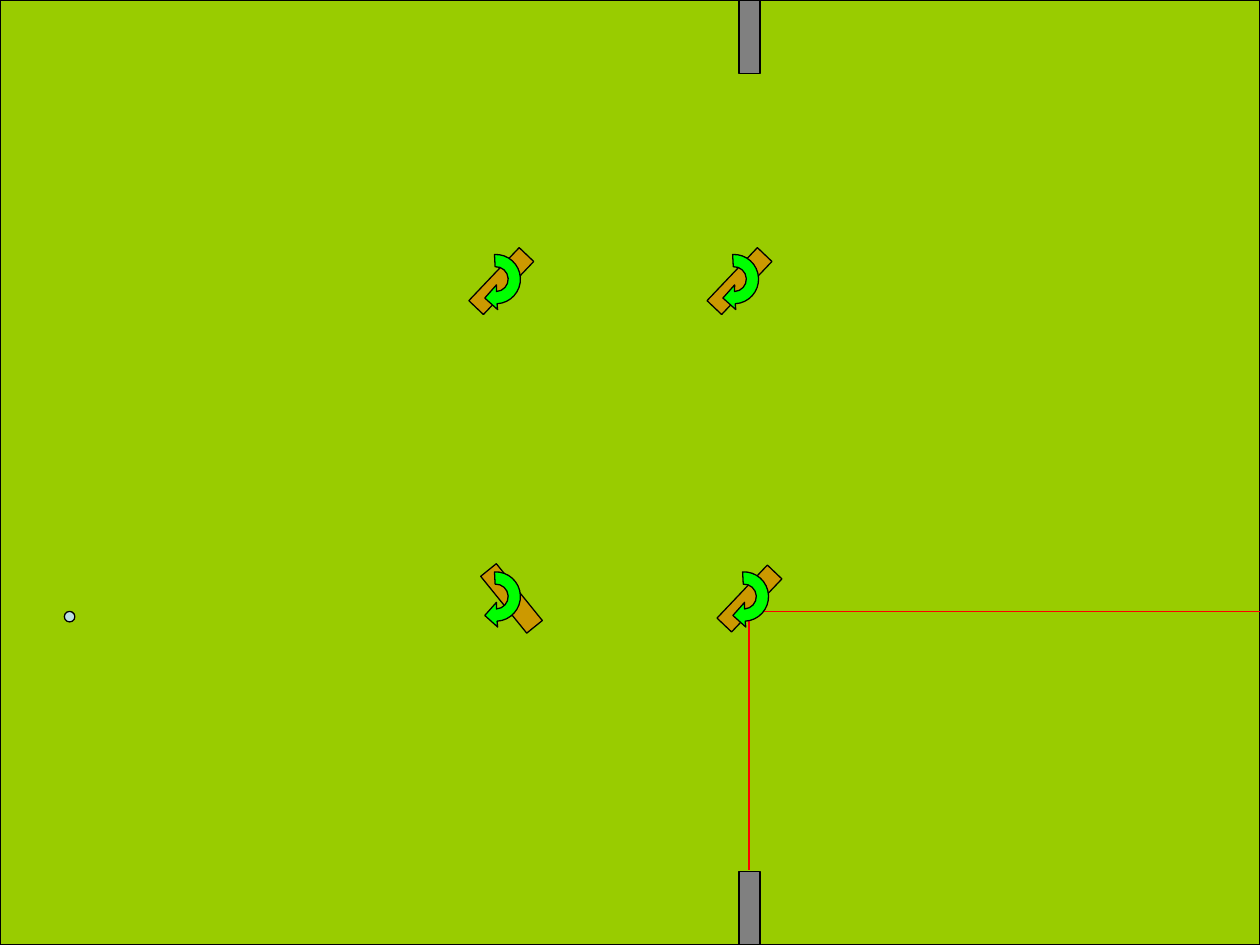
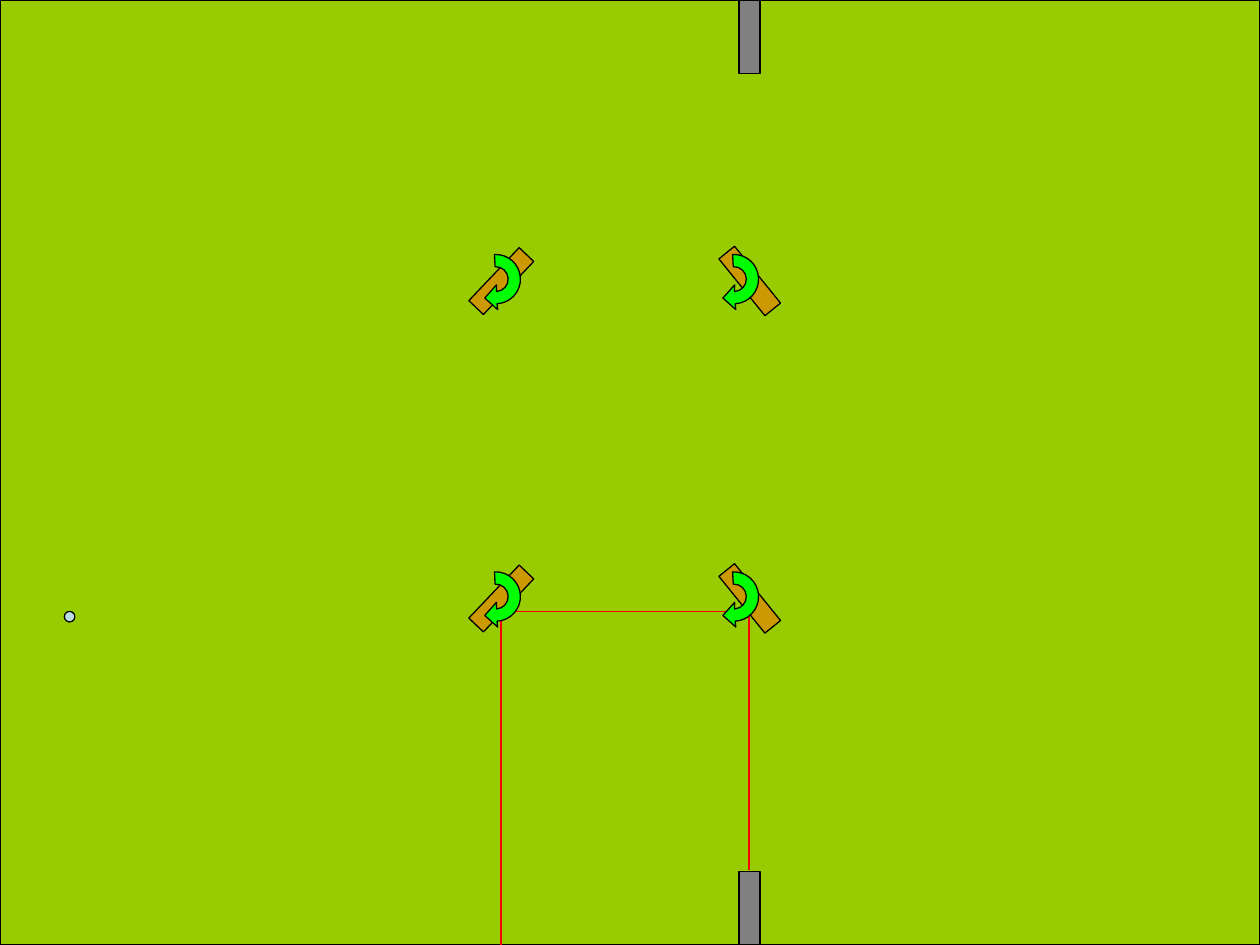
from math import cos, radians, sin, tan
from lxml import etree
from pptx import Presentation
from pptx.dml.color import RGBColor
from pptx.enum import shapes as kinds
from pptx.oxml.ns import qn
from pptx.util import Pt

WIDTH, HEIGHT = 720, 540
BOX, DOT = kinds.MSO_SHAPE.RECTANGLE, kinds.MSO_SHAPE.OVAL

# Grid of the turning bars: column and row centres of the arrows
LEFT, RIGHT = 283.3, 419.4
TOP, LOW = 159.5, 340.9
# Tilt of a bar: angle, and shift of its centre from the arrow
RISE, FALL = (313.5, 3.2), (51, 9)
# Path of the red beam
WALL_X, TURN_X, BEAM_Y = 428, 286.25, 349.45


def color(code):
    return RGBColor.from_string(code)


def arc(radius, start, turn):
    """Start, then two cubic curves as control, control, end."""
    step = radians(turn) / 2
    pull = 4 / 3 * tan(step / 4)

    def spot(a, k=0):
        return radius * (cos(a) - k * sin(a)), radius * (sin(a) + k * cos(a))

    dots = [spot(radians(start))]
    for i in range(2):
        a = radians(start) + i * step
        dots += [spot(a, pull), spot(a + step, -pull), spot(a + step)]
    return dots


# Outline of the curved arrow: inner arc, outer arc, head
ARROW = (arc(7.1, 87, -180) + arc(14.1, -93, 180)
         + [(1.1, 17.4), (-6.3, 10.8), (0.4, 3.3)])
CURVES = (0, 3, 7, 10)  # first control of each curve, after the start


class Board:
    GRASS, WALL, WOOD = "99CC00", "808080", "CC9900"
    TURN, BALL, BEAM, EDGE = "00FF00", "BBE0E3", "FF0000", "000000"
    WEIGHT = 0.75

    def __init__(self, deck):
        self.deck = deck
        self.slide = None

    def paint(self, shape, fill):
        shape.shadow.inherit = False
        shape.fill.solid()
        shape.fill.fore_color.rgb = color(fill)
        shape.line.color.rgb = color(self.EDGE)
        shape.line.width = Pt(self.WEIGHT)

    def shape(self, kind, x, y, w, h, fill, turn=0):
        item = self.slide.shapes.add_shape(kind, Pt(x), Pt(y), Pt(w), Pt(h))
        item.rotation = turn
        self.paint(item, fill)

    def beam(self, points):
        for start, end in zip(points, points[1:]):
            line = self.slide.shapes.add_connector(
                kinds.MSO_CONNECTOR.STRAIGHT, *(Pt(v) for v in start + end))
            line.line.color.rgb = color(self.BEAM)
            line.line.width = Pt(self.WEIGHT)
            etree.SubElement(line._element.spPr, qn("a:effectLst"))

    def arrow(self, x, y):
        dots = [(Pt(x + dx), Pt(y + dy)) for dx, dy in ARROW]
        form = self.slide.shapes.build_freeform(*dots[0], scale=1.0)
        form.add_line_segments(dots[1:], close=True)
        item = form.convert_to_shape()
        # Join each three points into one curve
        legs = list(item._element.iter(qn("a:lnTo")))
        for i in CURVES:
            first, *rest = legs[i:i + 3]
            first.tag = qn("a:cubicBezTo")
            for leg in rest:
                first.append(leg[0])
                leg.getparent().remove(leg)
        self.paint(item, self.TURN)

    def gate(self, x, y, tilt):
        """A wooden bar with the arrow that shows its turn."""
        turn, shift = tilt
        w, h = 41.8, 11.5
        self.shape(BOX, x + shift - w / 2, y + 1.1 - h / 2, w, h,
                   self.WOOD, turn)
        self.arrow(x, y)

    def scene(self, path, gates):
        self.slide = self.deck.slides.add_slide(self.deck.slide_layouts[6])
        # Field and goal walls
        self.shape(BOX, 0, 0, WIDTH, HEIGHT, self.GRASS)
        for y in (HEIGHT - 42, 0):
            self.shape(BOX, 422.3, y, 12, 42, self.WALL)
        # Beam, ball and bars
        self.beam(path)
        self.shape(DOT, 36.8, 349.4, 6, 6, self.BALL)
        for gate in gates:
            self.gate(*gate)


def main():
    deck = Presentation()
    deck.slide_width, deck.slide_height = Pt(WIDTH), Pt(HEIGHT)
    board = Board(deck)
    start = [(WALL_X, 497), (WALL_X, BEAM_Y)]

    # Beam leaves to the right
    board.scene(start + [(WIDTH, BEAM_Y)],
                [(RIGHT + 5.7, LOW, RISE), (RIGHT, TOP, RISE),
                 (LEFT, TOP, RISE), (LEFT, LOW, FALL)])

    # Beam turns left, then down
    board.scene(start + [(TURN_X, BEAM_Y), (TURN_X, HEIGHT)],
                [(x, y, tilt) for y in (TOP, LOW)
                 for x, tilt in ((LEFT, RISE), (RIGHT, FALL))])

    deck.save("out.pptx")


if __name__ == "__main__":
    main()
